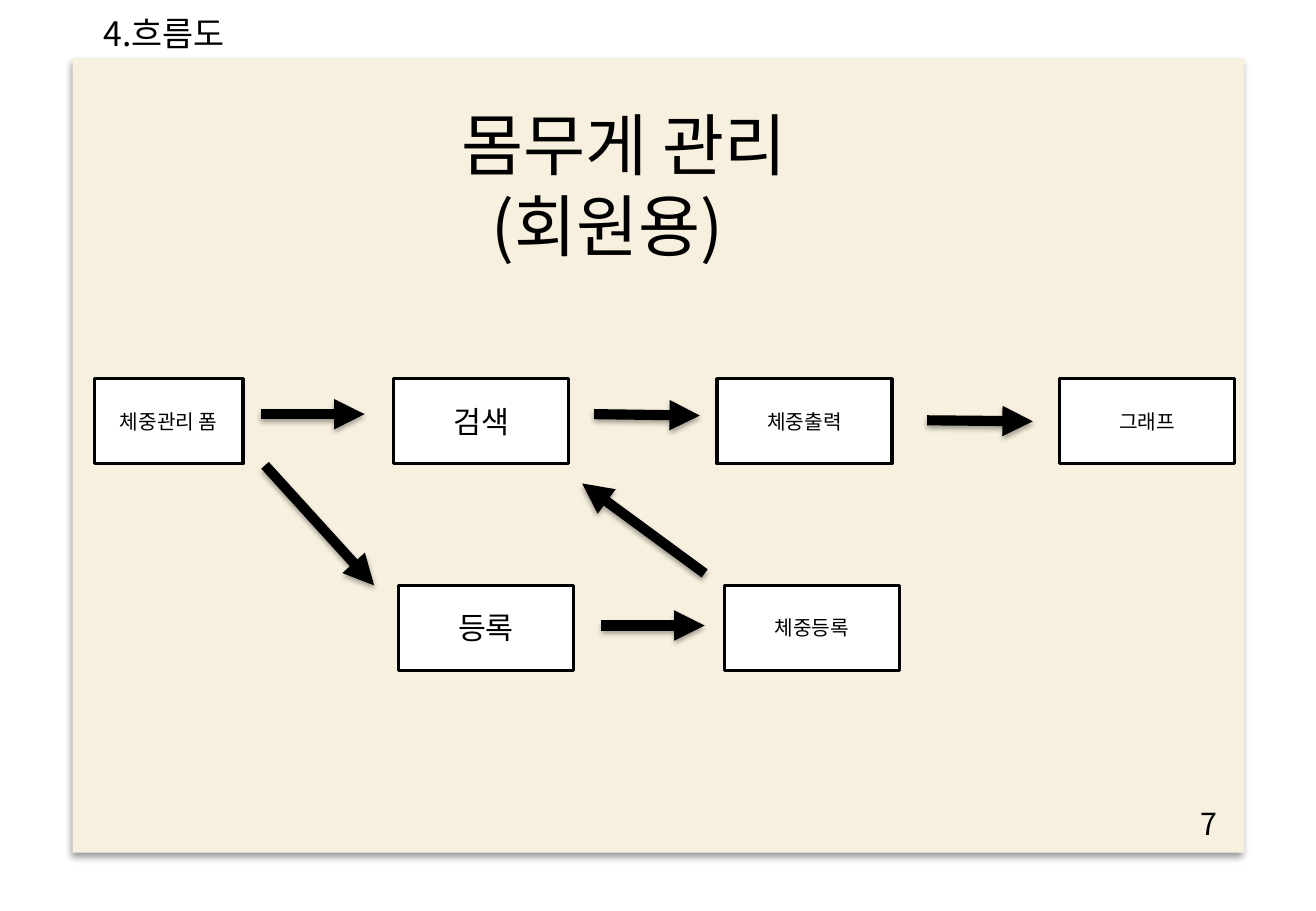
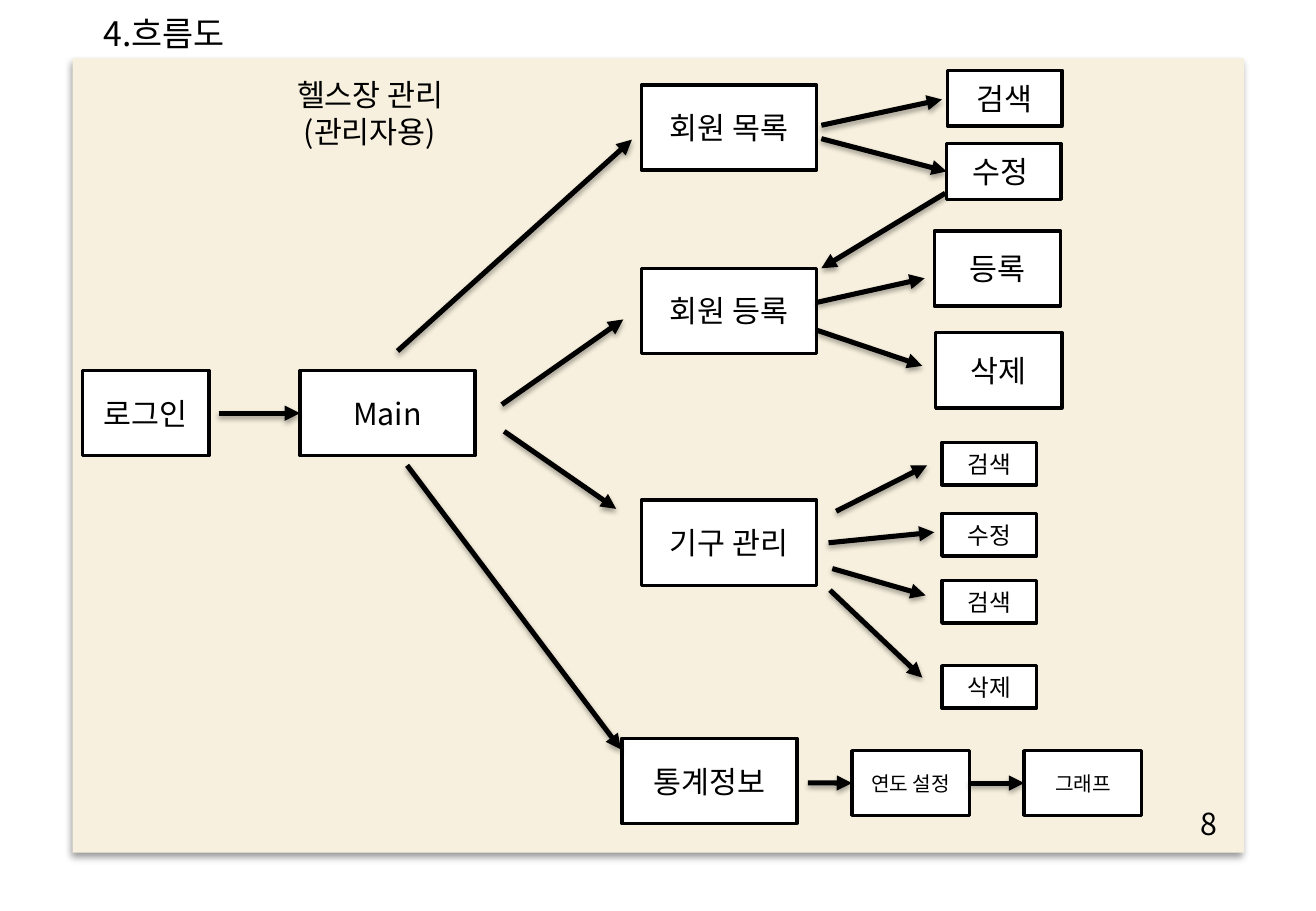
import pptx
import pptx.util
import pptx.dml.color
import pptx.enum.shapes
import pptx.enum.text
import pptx.oxml
import pptx.oxml.ns
import lxml.etree

Cm = pptx.util.Cm
Pt = pptx.util.Pt
color = pptx.dml.color.RGBColor.from_string
qn = pptx.oxml.ns.qn

FONT = "Noto Sans CJK KR"
BLACK, WHITE, CREAM = "000000", "FFFFFF", "F7F0DE"
RECTANGLE = pptx.enum.shapes.MSO_SHAPE.RECTANGLE
STRAIGHT = pptx.enum.shapes.MSO_CONNECTOR.STRAIGHT
LEFT_SIDE, RIGHT_SIDE = 1, 3
BOX_WIDTH, BOX_HEIGHT = 3.66, 1.78
TOP_ROW, BOTTOM_ROW = 7.92, 12.24
MAIN_ROW, MENU_LEFT = 7.75, 13.41
TOOL_LEFT, TOOL_WIDTH, TOOL_HEIGHT = 19.69, 1.98, 0.89
STAT_TOP, STAT_WIDTH, STAT_HEIGHT, STAT_MIDDLE = 15.7, 2.46, 1.35, 16.37


def write_text(shape, lines, size, indents=()):
    frame = shape.text_frame
    frame.text = "\n".join(lines)
    frame.word_wrap = True
    for paragraph in frame.paragraphs:
        for run in paragraph.runs:
            run.font.size = Pt(size)
            run.font.name = FONT
            run.font.color.rgb = color(BLACK)
            east_asian = lxml.etree.SubElement(run.font._element, qn("a:ea"))
            east_asian.set("typeface", FONT)
    for paragraph, indent in zip(frame.paragraphs, indents):
        properties = paragraph._p.get_or_add_pPr()
        properties.set("marL", str(Cm(indent)))
        properties.set("indent", "0")


def add_shadow(shape, opacity, blur, distance):
    properties = shape._element.spPr
    effects = properties.find(qn("a:effectLst"))
    if effects is None:
        effects = lxml.etree.SubElement(properties, qn("a:effectLst"))
    shadow = lxml.etree.SubElement(effects, qn("a:outerShdw"))
    shadow.set("blurRad", str(Pt(blur)))
    shadow.set("dist", str(Pt(distance)))
    shadow.set("dir", "5400000")
    shadow.set("rotWithShape", "0")
    shade = lxml.etree.SubElement(shadow, qn("a:srgbClr"), val=BLACK)
    lxml.etree.SubElement(shade, qn("a:alpha"), val=str(opacity * 1000))


pages = [
    {
        "number": "7",
        "heading": (["몸무게 관리", "(회원용)"], 40, (0, 0.63), (9.4, 2.03, 8.71, 3.68)),
        "arrow_width": 6,
        "boxes": {
            "form": ("체중관리 폼", 12, 1.98, TOP_ROW, 3.1, BOX_HEIGHT),
            "search": ("검색", 18, 8.23, TOP_ROW, BOX_WIDTH, BOX_HEIGHT),
            "register": ("등록", 18, 8.33, BOTTOM_ROW, BOX_WIDTH, BOX_HEIGHT),
            "weight_output": ("체중출력", 12, 14.99, TOP_ROW, BOX_WIDTH, BOX_HEIGHT),
            "weight_entry": ("체중등록", 12, 15.14, BOTTOM_ROW, BOX_WIDTH, BOX_HEIGHT),
            "graph": ("그래프", 12, 22.15, TOP_ROW, BOX_WIDTH, BOX_HEIGHT),
        },
        "arrows": [
            (5.46, 8.66, 7.62, 8.66, None, None),
            (5.54, 9.73, 7.82, 12.24, None, None),
            (12.42, 8.66, 14.63, 8.69, None, None),
            (12.57, 13.08, 14.73, 13.08, None, None),
            (14.73, 11.99, 12.17, 10.11, None, None),
            (19.38, 8.79, 21.59, 8.81, None, None),
        ],
    },
    {
        "number": "8",
        "heading": (["헬스장 관리", "(관리자용)"], 18, (0.14, 0.28), (5.82, 1.47, 4.65, 1.8)),
        "arrow_width": 3,
        "boxes": {
            "login": ("로그인", 18, 1.73, MAIN_ROW, 2.64, BOX_HEIGHT),
            "main": ("Main", 18, 6.27, MAIN_ROW, BOX_WIDTH, BOX_HEIGHT),
            "member_list": ("회원 목록", 18, MENU_LEFT, 1.78, BOX_WIDTH, BOX_HEIGHT),
            "member_entry": ("회원 등록", 18, MENU_LEFT, 5.61, BOX_WIDTH, BOX_HEIGHT),
            "equipment": ("기구 관리", 18, MENU_LEFT, 10.46, BOX_WIDTH, BOX_HEIGHT),
            "statistics": ("통계정보", 18, 13.0, 15.44, BOX_WIDTH, BOX_HEIGHT),
            "member_search": ("검색", 18, 19.81, 1.47, 2.39, 1.17),
            "member_edit": ("수정 ", 18, 19.79, 3.0, 2.39, 1.17),
            "member_register": ("등록", 18, 19.53, 4.83, 2.64, 1.57),
            "member_delete": ("삭제", 18, 19.56, 6.96, 2.64, 1.57),
            "tool_search": ("검색", 14, TOOL_LEFT, 9.25, TOOL_WIDTH, TOOL_HEIGHT),
            "tool_edit": ("수정", 14, TOOL_LEFT, 10.74, TOOL_WIDTH, TOOL_HEIGHT),
            "tool_search_again": ("검색", 14, TOOL_LEFT, 12.14, TOOL_WIDTH, TOOL_HEIGHT),
            "tool_delete": ("삭제", 14, TOOL_LEFT, 13.92, TOOL_WIDTH, TOOL_HEIGHT),
            "year": ("연도 설정", 12, 17.81, STAT_TOP, STAT_WIDTH, STAT_HEIGHT),
            "graph": ("그래프", 12, 21.41, STAT_TOP, STAT_WIDTH, STAT_HEIGHT),
        },
        "arrows": [
            (4.57, 8.64, 6.27, 8.64, None, "main"),
            (8.31, 7.34, 13.21, 2.92, None, None),
            (10.49, 8.46, 13.03, 6.68, None, None),
            (10.54, 9.02, 12.88, 10.64, None, None),
            (8.51, 9.73, 12.98, 15.67, None, None),
            (17.17, 2.62, 19.69, 2.08, None, None),
            (17.17, 2.9, 19.79, 3.59, None, "member_edit"),
            (19.76, 4.04, 17.17, 5.61, None, None),
            (17.09, 6.32, 19.33, 5.82, None, None),
            (17.09, 6.91, 19.28, 7.65, None, None),
            (17.48, 10.69, 19.38, 9.73, None, None),
            (17.32, 11.35, 19.53, 11.13, None, None),
            (17.4, 11.89, 19.35, 12.45, None, None),
            (17.35, 12.34, 19.28, 14.17, None, None),
            (16.89, STAT_MIDDLE, 17.81, STAT_MIDDLE, None, "year"),
            (20.27, STAT_MIDDLE, 21.41, STAT_MIDDLE, "year", "graph"),
        ],
    },
]

presentation = pptx.Presentation()
presentation.slide_width = Cm(27.51)
presentation.slide_height = Cm(19.05)

for page in pages:
    slide = presentation.slides.add_slide(presentation.slide_layouts[6])

    panel = slide.shapes.add_shape(RECTANGLE, Cm(1.52), Cm(1.22), Cm(24.49), Cm(16.61))
    panel.fill.solid()
    panel.fill.fore_color.rgb = color(CREAM)
    panel.line.fill.background()
    panel.shadow.inherit = False
    add_shadow(panel, 40, 4, 3)

    boxes = {}
    for name, (label, size, left, top, width, height) in page["boxes"].items():
        box = slide.shapes.add_shape(RECTANGLE, Cm(left), Cm(top), Cm(width), Cm(height))
        box.fill.solid()
        box.fill.fore_color.rgb = color(WHITE)
        box.line.color.rgb = color(BLACK)
        box.line.width = Pt(2)
        box.shadow.inherit = False
        write_text(box, [label], size)
        box.text_frame.vertical_anchor = pptx.enum.text.MSO_ANCHOR.MIDDLE
        box.text_frame.paragraphs[0].alignment = pptx.enum.text.PP_ALIGN.CENTER
        boxes[name] = box

    for start_x, start_y, end_x, end_y, source, target in page["arrows"]:
        arrow = slide.shapes.add_connector(
            STRAIGHT, Cm(start_x), Cm(start_y), Cm(end_x), Cm(end_y))
        if source:
            arrow.begin_connect(boxes[source], RIGHT_SIDE)
        if target:
            arrow.end_connect(boxes[target], LEFT_SIDE)
        arrow.line.color.rgb = color(BLACK)
        arrow.line.width = Pt(page["arrow_width"])
        outline = arrow._element.spPr.find(qn("a:ln"))
        lxml.etree.SubElement(outline, qn("a:tailEnd"), type="triangle")
        add_shadow(arrow, 35, 3.1, 1.8)

    texts = [
        page["heading"],
        (["4.흐름도"], 20, (), (1.91, 0.15, 12.75, 1.12)),
        ([page["number"]], 18, (), (24.84, 16.71, 0.86, 1.02)),
    ]
    for lines, size, indents, (left, top, width, height) in texts:
        text_box = slide.shapes.add_textbox(Cm(left), Cm(top), Cm(width), Cm(height))
        write_text(text_box, lines, size, indents)
        text_box.text_frame.auto_size = pptx.enum.text.MSO_AUTO_SIZE.SHAPE_TO_FIT_TEXT

presentation.save("out.pptx")
